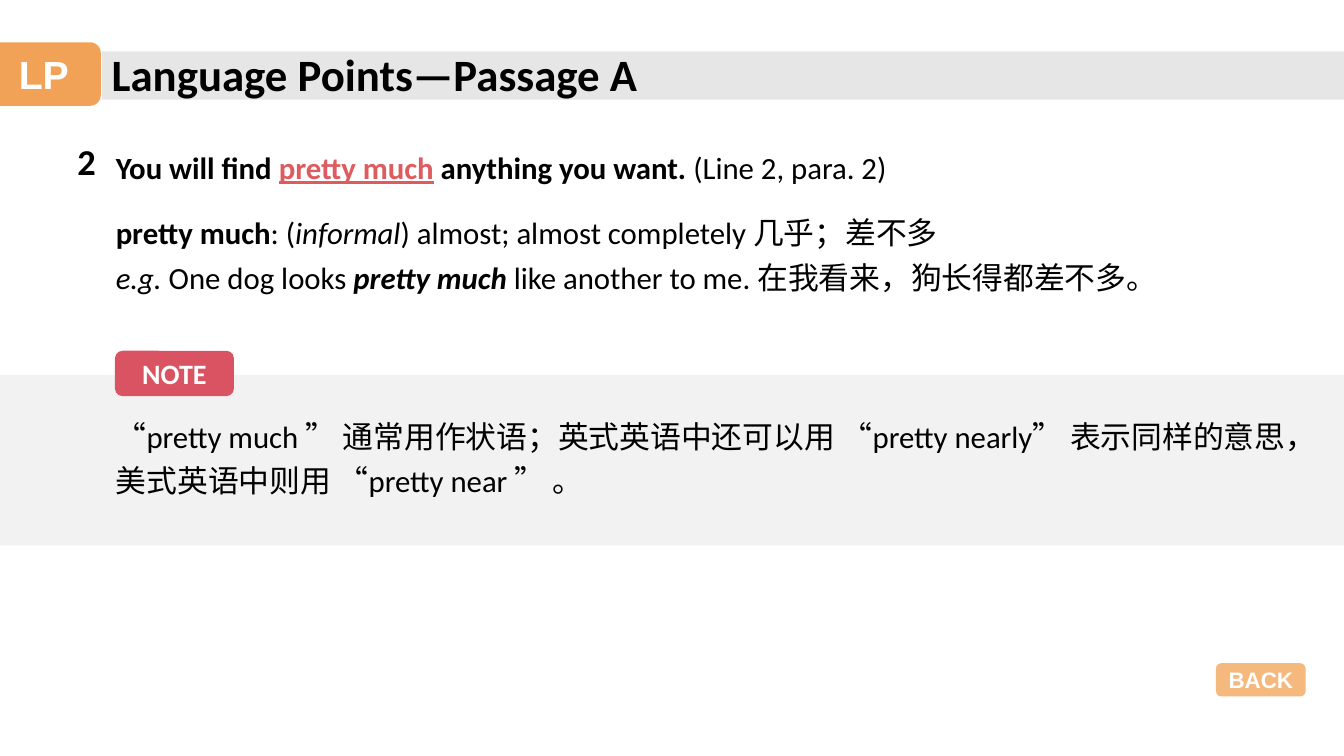
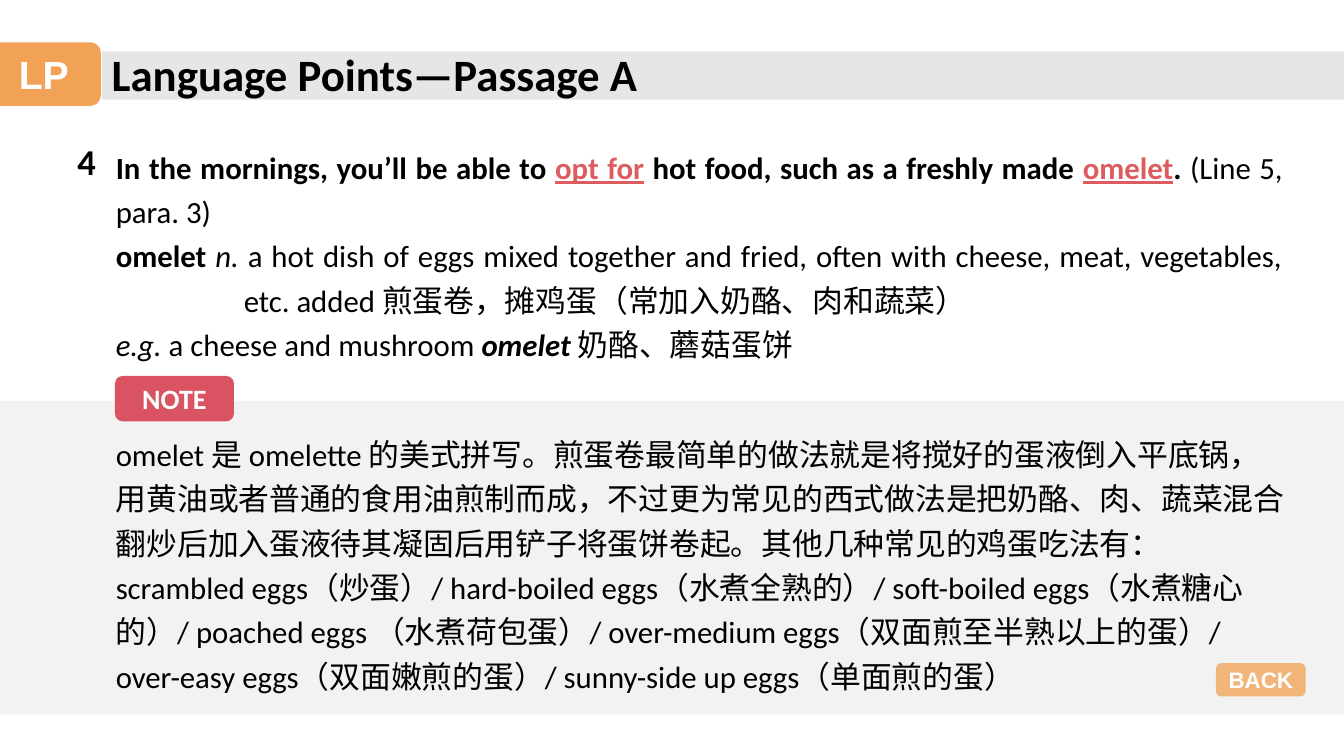
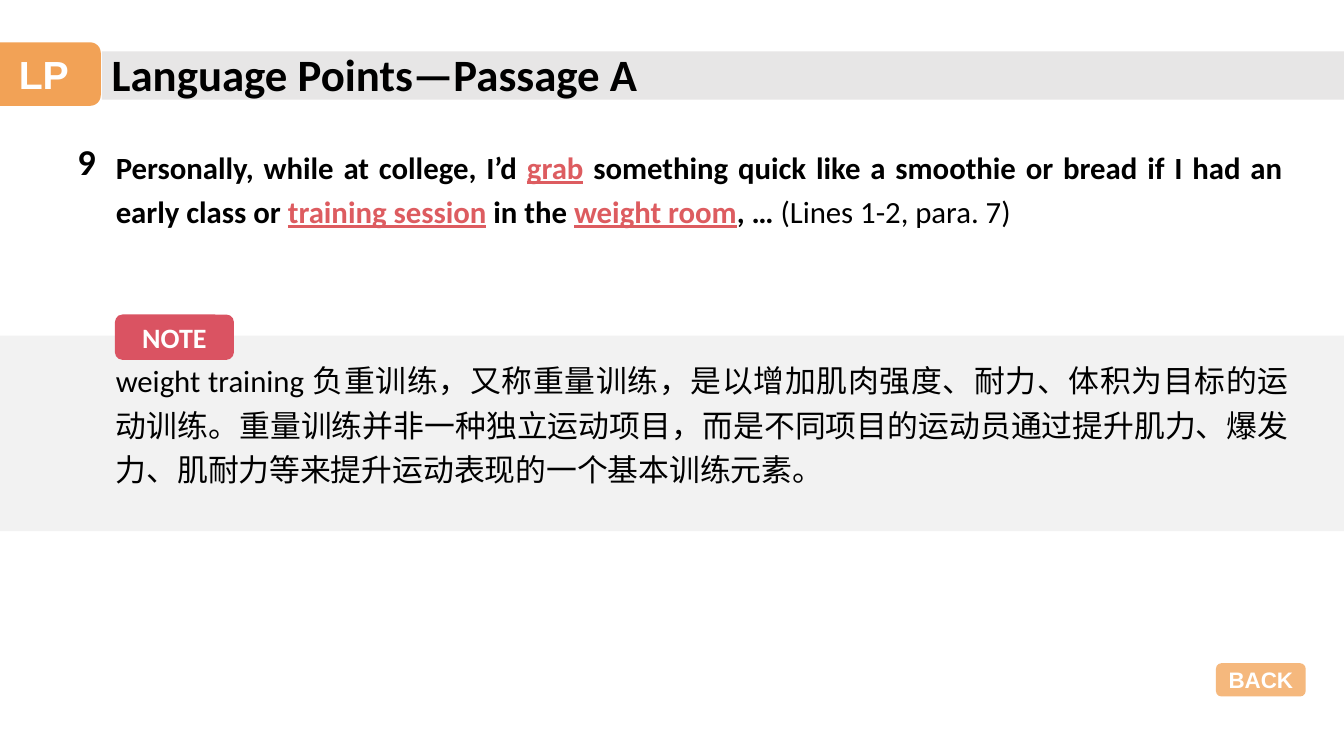
"""Builds three language-point slides with a shared header, note band and back button."""
import lxml.etree
import pptx
import pptx.dml.color
import pptx.enum.shapes
import pptx.enum.text
import pptx.oxml.ns
import pptx.util

Inches = pptx.util.Inches
SHAPES = pptx.enum.shapes.MSO_SHAPE
ALIGN = pptx.enum.text.PP_ALIGN
ANCHOR = pptx.enum.text.MSO_ANCHOR

COLORS = {
    "text": "000000",
    "white": "FFFFFF",
    "orange": "F19B48",
    "red": "DA5362",
    "term": "DD5C60",
    "title_band": "E7E6E6",
    "note_band": "F2F2F2",
}
SLIDE_W = 13.33
TEXT_LEFT = 1.05
TEXT_W = 11.77
NOTE_W = 11.84
HANG = 1.27

POINTS = [
    {
        "number": "2",
        "texts": [
            (1.35, 0.52, [
                (ALIGN.JUSTIFY, 0, [
                    ("You will find ", "b"), ("pretty much", "bu"),
                    (" anything you want. ", "b"), ("(Line 2, para. 2)", "")]),
            ]),
            (2, 0.95, [
                (ALIGN.LEFT, 0, [
                    ("pretty much", "b"), (": (", ""), ("informal", "i"),
                    (") almost; almost completely 几乎；差不多", "")]),
                (ALIGN.LEFT, 0, [
                    ("e.g. ", "i"), ("One dog looks ", ""), ("pretty much ", "bi"),
                    ("like another to me. 在我看来，狗长得都差不多。", "")]),
            ]),
        ],
        "band": (3.72, 1.69),
        "label_top": 3.48,
        "note": (4.02, 0.99, ALIGN.LEFT,
                 "“pretty much ” 通常用作状语；英式英语中还可以用 “pretty nearly” "
                 "表示同样的意思，美式英语中则用 “pretty near ” 。"),
    },
    {
        "number": "4",
        "texts": [
            (1.35, 2.29, [
                (ALIGN.JUSTIFY, 0, [
                    ("In the mornings, you’ll be able to ", "b"), ("opt for", "bu"),
                    (" hot food, such as a freshly made ", "b"), ("omelet", "bu"),
                    (". ", "b"), ("(Line 5, para. 3)", "")]),
                (ALIGN.JUSTIFY, HANG, [
                    ("omelet ", "b"), ("n.", "i"),
                    (" a hot dish of eggs mixed together and fried, often with cheese, "
                     "meat, vegetables, etc. added 煎蛋卷，摊鸡蛋（常加入奶酪、肉和蔬菜）", "")]),
                (ALIGN.JUSTIFY, 0, [
                    ("e.g. ", "i"), ("a cheese and mushroom ", ""), ("omelet ", "bi"),
                    ("奶酪、蘑菇蛋饼", "")]),
            ]),
        ],
        "band": (3.98, 3.11),
        "label_top": 3.73,
        "note": (4.2, 2.73, ALIGN.LEFT,
                 "omelet 是 omelette 的美式拼写。煎蛋卷最简单的做法就是将搅好的蛋液倒入平底锅，"
                 "用黄油或者普通的食用油煎制而成，不过更为常见的西式做法是把奶酪、肉、蔬菜混合"
                 "翻炒后加入蛋液待其凝固后用铲子将蛋饼卷起。其他几种常见的鸡蛋吃法有："
                 "scrambled eggs（炒蛋）/ hard-boiled eggs（水煮全熟的）/ "
                 "soft-boiled eggs（水煮糖心的）/ poached eggs （水煮荷包蛋）/ "
                 "over-medium eggs（双面煎至半熟以上的蛋）/ "
                 "over-easy eggs（双面嫩煎的蛋）/ sunny-side up eggs（单面煎的蛋）"),
    },
    {
        "number": "9",
        "texts": [
            (1.35, 0.96, [
                (ALIGN.JUSTIFY, 0, [
                    ("Personally, while at college, I’d ", "b"), ("grab", "bu"),
                    (" something quick like a smoothie or bread if I had an early class or ", "b"),
                    ("training session", "bu"), (" in the ", "b"), ("weight room", "bu"),
                    (", … ", "b"), ("(Lines 1-2, para. 7)", "")]),
            ]),
        ],
        "band": (3.33, 1.94),
        "label_top": 3.12,
        "note": (3.47, 1.4, ALIGN.JUSTIFY,
                 "weight training 负重训练，又称重量训练，是以增加肌肉强度、耐力、体积为目标的"
                 "运动训练。重量训练并非一种独立运动项目，而是不同项目的运动员通过提升肌力、爆发力、"
                 "肌耐力等来提升运动表现的一个基本训练元素。"),
    },
]


def rgb(name):
    return pptx.dml.color.RGBColor.from_string(COLORS[name])


def set_font(font, size, color="text", name="Calibri", bold=False):
    font.size = pptx.util.Pt(size)
    font.name = name
    font.bold = bold
    font.color.rgb = rgb(color)


def add_block(s, kind, box, color, opacity=100):
    sp = s.shapes.add_shape(kind, *map(Inches, box))
    sp.shadow.inherit = False
    sp.fill.solid()
    sp.fill.fore_color.rgb = rgb(color)
    sp.line.fill.background()
    if opacity < 100:
        clr = sp._element.spPr.find(".//" + pptx.oxml.ns.qn("a:srgbClr"))
        alpha = lxml.etree.SubElement(clr, pptx.oxml.ns.qn("a:alpha"))
        alpha.set("val", str(opacity * 1000))
    return sp


def add_label(s, box, text, size, color, font="Arial", opacity=100):
    sp = add_block(s, SHAPES.ROUNDED_RECTANGLE, box, color, opacity)
    tf = sp.text_frame
    tf.vertical_anchor = ANCHOR.MIDDLE
    p = tf.paragraphs[0]
    p.alignment = ALIGN.CENTER
    p.add_run().text = text
    set_font(p.font, size, "white", font, True)


def add_frame(s, box):
    tf = s.shapes.add_textbox(*map(Inches, box)).text_frame
    tf.word_wrap = True
    tf.auto_size = pptx.enum.text.MSO_AUTO_SIZE.SHAPE_TO_FIT_TEXT
    return tf


def add_heading(s, box, text, size):
    p = add_frame(s, box).paragraphs[0]
    p.add_run().text = text
    set_font(p.font, size, bold=True)


def add_body(s, box, paragraphs):
    tf = add_frame(s, box)
    for i, (align, hang, runs) in enumerate(paragraphs):
        p = tf.add_paragraph() if i else tf.paragraphs[0]
        p.alignment = align
        p.line_spacing = 1.2
        if hang:
            pPr = p._p.get_or_add_pPr()
            pPr.set("marL", str(Inches(hang)))
            pPr.set("indent", str(-Inches(hang)))
        set_font(p.font, 22)
        for text, style in runs:
            r = p.add_run()
            r.text = text
            if "b" in style:
                r.font.bold = True
            if "i" in style:
                r.font.italic = True
            if "u" in style:
                r.font.underline = True
                r.font.color.rgb = rgb("term")


def add_header(s):
    add_block(s, SHAPES.RECTANGLE, (1.01, 0.51, SLIDE_W - 1.01, 0.48), "title_band")
    add_label(s, (-0.13, 0.42, 1.13, 0.63), "LP", 28, "orange", opacity=92)
    add_heading(s, (1.01, 0.41, 5.78, 0.64), "Language Points—Passage A", 32)


def add_note(s, band, label_top, note):
    top, height, align, text = note
    add_block(s, SHAPES.RECTANGLE, (0, band[0], SLIDE_W, band[1]), "note_band")
    add_label(s, (1.14, label_top, 1.18, 0.45), "NOTE", 20, "red", "Calibri")
    add_body(s, (TEXT_LEFT, top, NOTE_W, height), [(align, 0, [(text, "")])])


def add_point(prs, point):
    s = prs.slides.add_slide(prs.slide_layouts[6])
    add_header(s)
    add_heading(s, (0.67, 1.33, 0.47, 0.54), point["number"], 26)
    for top, height, paragraphs in point["texts"]:
        add_body(s, (TEXT_LEFT, top, TEXT_W, height), paragraphs)
    add_note(s, point["band"], point["label_top"], point["note"])
    add_label(s, (12.06, 6.58, 0.89, 0.33), "BACK", 16, "orange", opacity=71)


def main():
    prs = pptx.Presentation()
    prs.slide_width = Inches(SLIDE_W)
    prs.slide_height = Inches(7.5)
    for point in POINTS:
        add_point(prs, point)
    prs.save("out.pptx")


if __name__ == "__main__":
    main()
